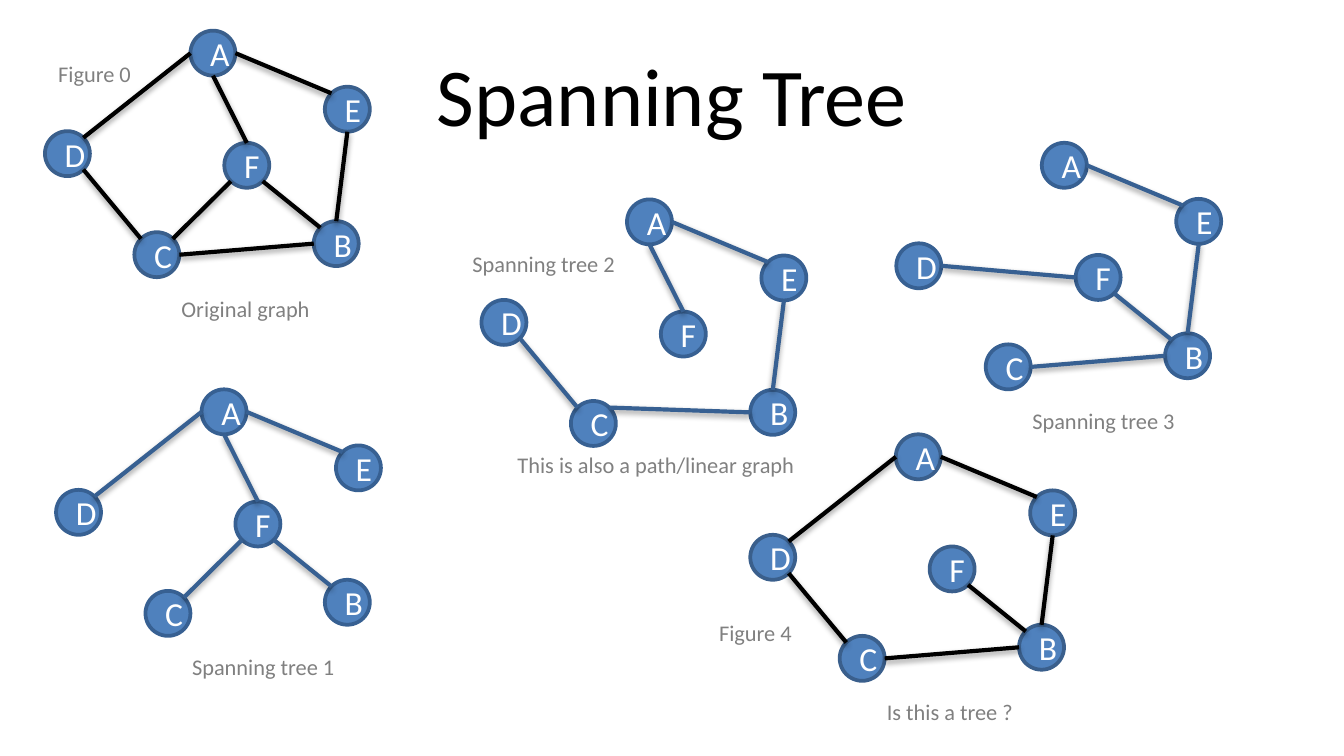
"""Build a slide comparing a graph with its spanning trees."""
from dataclasses import dataclass
from enum import IntEnum
from math import cos, radians, sin
from typing import NamedTuple

from lxml.etree import SubElement
from pptx import Presentation
from pptx.dml.color import RGBColor
from pptx.enum.shapes import MSO_CONNECTOR, MSO_SHAPE
from pptx.enum.text import MSO_ANCHOR, MSO_AUTO_SIZE, PP_ALIGN
from pptx.oxml.ns import qn
from pptx.util import Cm, Pt

BLACK = RGBColor(0x00, 0x00, 0x00)
WHITE = RGBColor(0xFF, 0xFF, 0xFF)
GREY = RGBColor(0x80, 0x80, 0x80)
NODE_BLUE = RGBColor(0x4F, 0x81, 0xBD)
TREE_BLUE = RGBColor(0x37, 0x60, 0x92)
RIM_BLUE = RGBColor(0x3A, 0x5F, 0x8C)
FONT = "Calibri"
DIAMETER = 0.85


class Site(IntEnum):
    """Connection sites of an ellipse, anticlockwise from the top."""
    TOP = 0
    TOP_LEFT = 1
    LEFT = 2
    BOTTOM_LEFT = 3
    BOTTOM = 4
    BOTTOM_RIGHT = 5
    RIGHT = 6
    TOP_RIGHT = 7


class Offset(NamedTuple):
    """Distance of a node from node A, in centimetres."""
    x: float
    y: float


class Edge(NamedTuple):
    """Two nodes and the sites where the edge meets them."""
    start: str
    start_site: Site
    end: str
    end_site: Site


class Caption(NamedTuple):
    """Label text with its place and width, in centimetres."""
    text: str
    left: float
    top: float
    width: float


@dataclass(frozen=True)
class Graph:
    """A graph placed by the corner of its node A, in centimetres."""
    left: float
    top: float
    edges: tuple[Edge, ...]
    rim: RGBColor
    edge_color: RGBColor
    captions: tuple[Caption, ...]


NODES = {
    "A": Offset(0, 0),
    "C": Offset(-1.06, 3.81),
    "B": Offset(2.33, 3.6),
    "D": Offset(-2.75, 1.9),
    "E": Offset(2.54, 1.06),
    "F": Offset(0.64, 2.12),
}

AD = Edge("A", Site.LEFT, "D", Site.TOP_RIGHT)
CD = Edge("C", Site.TOP_LEFT, "D", Site.BOTTOM_RIGHT)
CF = Edge("C", Site.TOP_RIGHT, "F", Site.BOTTOM_LEFT)
BF = Edge("B", Site.TOP_LEFT, "F", Site.BOTTOM_RIGHT)
EB = Edge("E", Site.BOTTOM, "B", Site.TOP)
EA = Edge("E", Site.TOP_LEFT, "A", Site.RIGHT)
BC = Edge("B", Site.LEFT, "C", Site.RIGHT)
AF = Edge("A", Site.BOTTOM, "F", Site.TOP)
CB_HIGH = Edge("C", Site.TOP_RIGHT, "B", Site.LEFT)
FD = Edge("F", Site.LEFT, "D", Site.RIGHT)

GRAPHS = (
    Graph(3.6, 0.58, (AD, CD, CF, BF, EB, EA, BC, AF), RIM_BLUE, BLACK,
          (Caption("Original graph", 3.18, 5.46, 2.95),
           Caption("Figure 0", 0.85, 1.01, 1.9))),
    Graph(3.81, 7.36, (AD, CF, BF, EA, AF), TREE_BLUE, TREE_BLUE,
          (Caption("Spanning tree 1", 3.38, 12.22, 3.23),)),
    Graph(11.85, 3.77, (CD, CB_HIGH, AF, EB, EA), TREE_BLUE, TREE_BLUE,
          (Caption("Spanning tree 2", 8.68, 4.6, 3.23),
           Caption("This is also a path/linear graph", 9.53, 8.41, 5.79))),
    Graph(19.69, 2.7, (FD, BF, EB, EA, BC), TREE_BLUE, TREE_BLUE,
          (Caption("Spanning tree 3", 19.26, 7.58, 3.23),)),
    Graph(16.93, 8.21, (AD, CD, BF, EB, EA, BC), RIM_BLUE, BLACK,
          (Caption("Is this a tree ?", 16.51, 13.08, 2.92),
           Caption("Figure 4", 13.34, 11.58, 1.9))),
)


def style_text(paragraph, size: int, color: RGBColor, align: PP_ALIGN) -> None:
    """Set the font and alignment of a paragraph."""
    paragraph.alignment = align
    paragraph.font.name = FONT
    paragraph.font.size = Pt(size)
    paragraph.font.color.rgb = color


def draw_node(shapes, letter: str, graph: Graph):
    """Draw one lettered node and return it."""
    offset = NODES[letter]
    node = shapes.add_shape(MSO_SHAPE.OVAL, Cm(graph.left + offset.x),
                            Cm(graph.top + offset.y), Cm(DIAMETER), Cm(DIAMETER))
    node.shadow.inherit = False
    node.fill.solid()
    node.fill.fore_color.rgb = NODE_BLUE
    node.line.color.rgb = graph.rim
    node.line.width = Pt(2)
    node.text_frame.text = letter
    node.text_frame.vertical_anchor = MSO_ANCHOR.MIDDLE
    style_text(node.text_frame.paragraphs[0], 18, WHITE, PP_ALIGN.CENTER)
    return node


def site_point(node, site: Site) -> tuple[int, int]:
    """Return the place of a connection site on a node."""
    radius = node.width / 2
    angle = radians(90 + 45 * site)
    return (round(node.left + radius * (1 + cos(angle))),
            round(node.top + radius * (1 - sin(angle))))


def add_soft_shadow(edge_line) -> None:
    """Give a connector a soft shadow below it."""
    effects = SubElement(edge_line._element.spPr, qn("a:effectLst"))
    shadow = SubElement(effects, qn("a:outerShdw"), blurRad="40000",
                        dist="20000", dir="5400000", rotWithShape="0")
    tint = SubElement(shadow, qn("a:srgbClr"), val=str(BLACK))
    SubElement(tint, qn("a:alpha"), val="38000")


def draw_edge(shapes, edge: Edge, nodes: dict, color: RGBColor) -> None:
    """Draw an edge glued to its two nodes."""
    start, end = nodes[edge.start], nodes[edge.end]
    start_point = site_point(start, edge.start_site)
    end_point = site_point(end, edge.end_site)
    edge_line = shapes.add_connector(MSO_CONNECTOR.STRAIGHT, *start_point, *end_point)
    edge_line.begin_connect(start, 0)
    edge_line.end_connect(end, 0)
    glue = edge_line._element.nvCxnSpPr.cNvCxnSpPr
    glue.stCxn.idx, glue.endCxn.idx = int(edge.start_site), int(edge.end_site)
    edge_line.begin_x, edge_line.begin_y = start_point
    edge_line.end_x, edge_line.end_y = end_point
    edge_line.line.color.rgb = color
    edge_line.line.width = Pt(2.25)
    add_soft_shadow(edge_line)


def draw_caption(shapes, caption: Caption) -> None:
    """Write a grey caption."""
    label = shapes.add_textbox(Cm(caption.left), Cm(caption.top),
                               Cm(caption.width), Cm(0.77)).text_frame
    label.word_wrap = False
    label.auto_size = MSO_AUTO_SIZE.SHAPE_TO_FIT_TEXT
    label.text = caption.text
    style_text(label.paragraphs[0], 12, GREY, PP_ALIGN.LEFT)


def draw_graph(shapes, graph: Graph) -> None:
    """Draw the nodes, edges and captions of a graph."""
    nodes = {letter: draw_node(shapes, letter, graph) for letter in NODES}
    for edge in graph.edges:
        draw_edge(shapes, edge, nodes, graph.edge_color)
    for caption in graph.captions:
        draw_caption(shapes, caption)


deck = Presentation()
deck.slide_width, deck.slide_height = Cm(25.4), Cm(14.29)
slide = deck.slides.add_slide(deck.slide_layouts[5])
title = slide.shapes.title
title.left, title.top, title.width, title.height = Cm(1.27), Cm(0.58), Cm(22.86), Cm(2.39)
title.text_frame.text = "Spanning Tree"
title.text_frame.vertical_anchor = MSO_ANCHOR.MIDDLE
style_text(title.text_frame.paragraphs[0], 44, BLACK, PP_ALIGN.CENTER)
for graph in GRAPHS:
    draw_graph(slide.shapes, graph)
deck.save("out.pptx")
